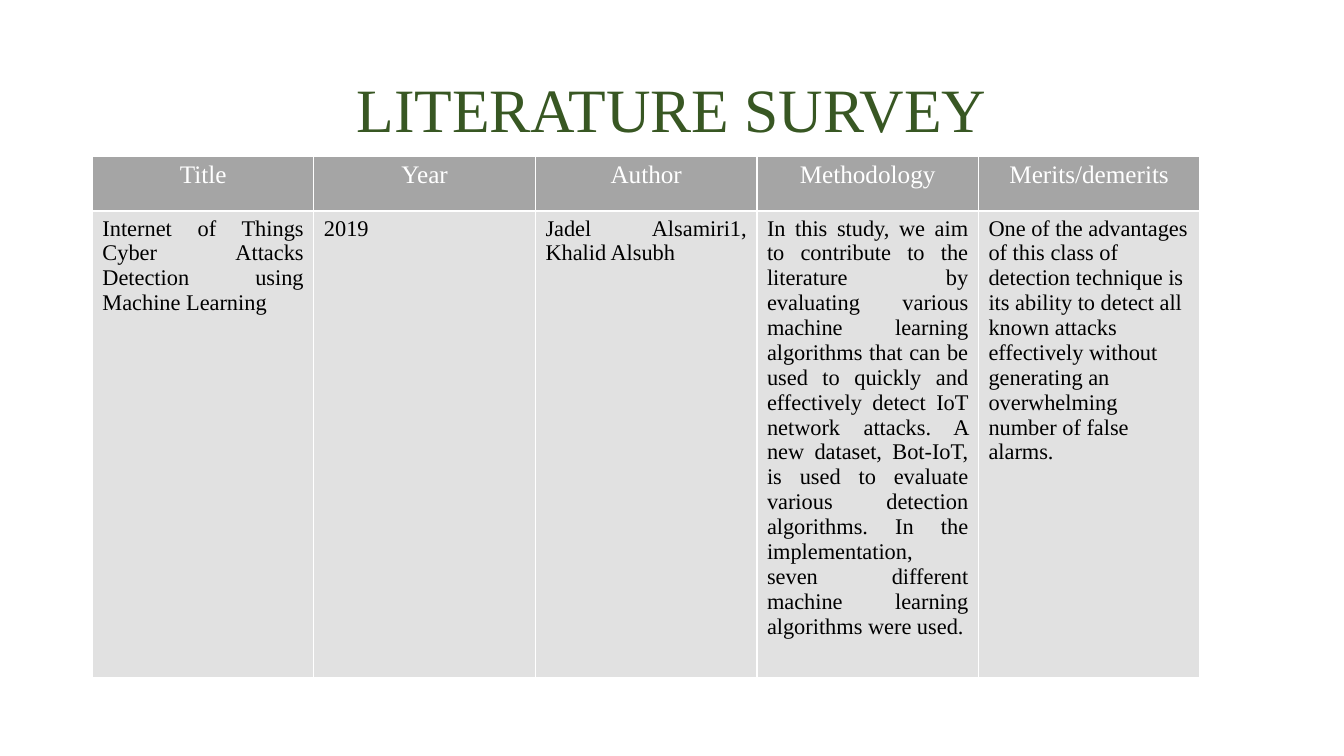
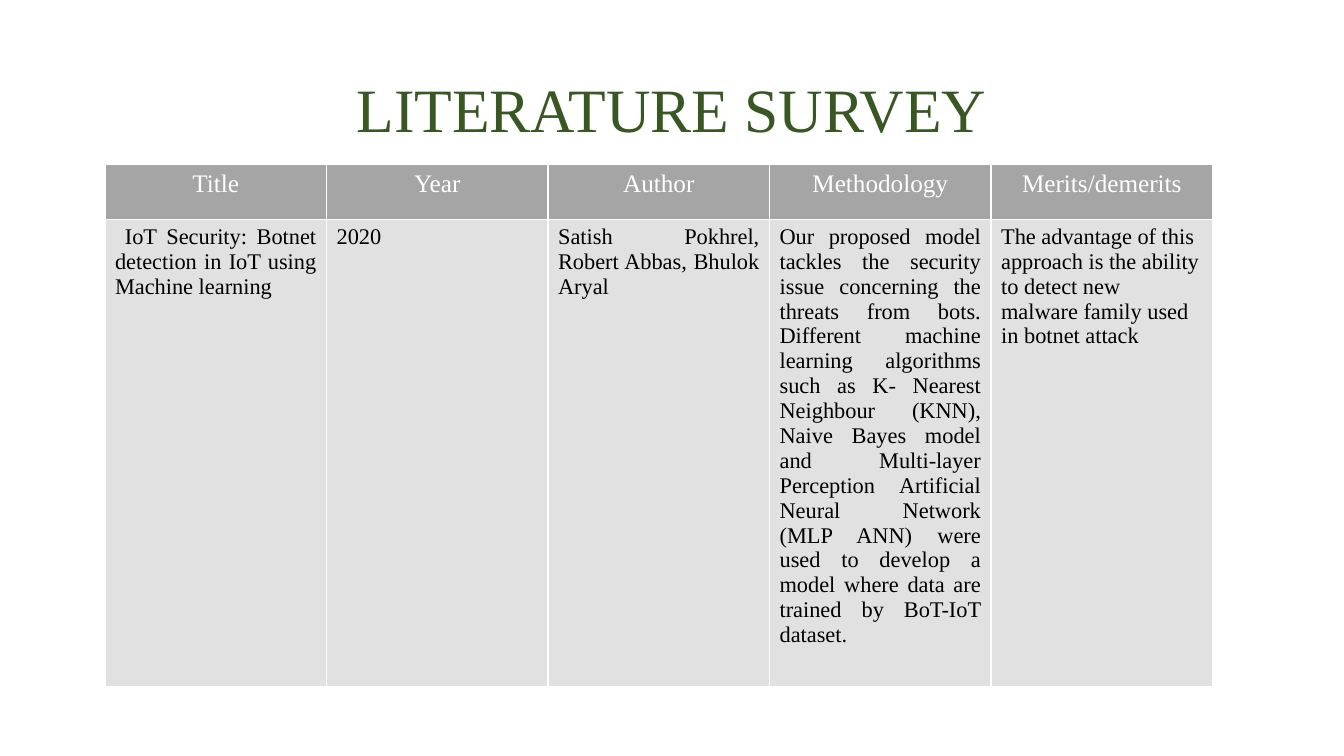
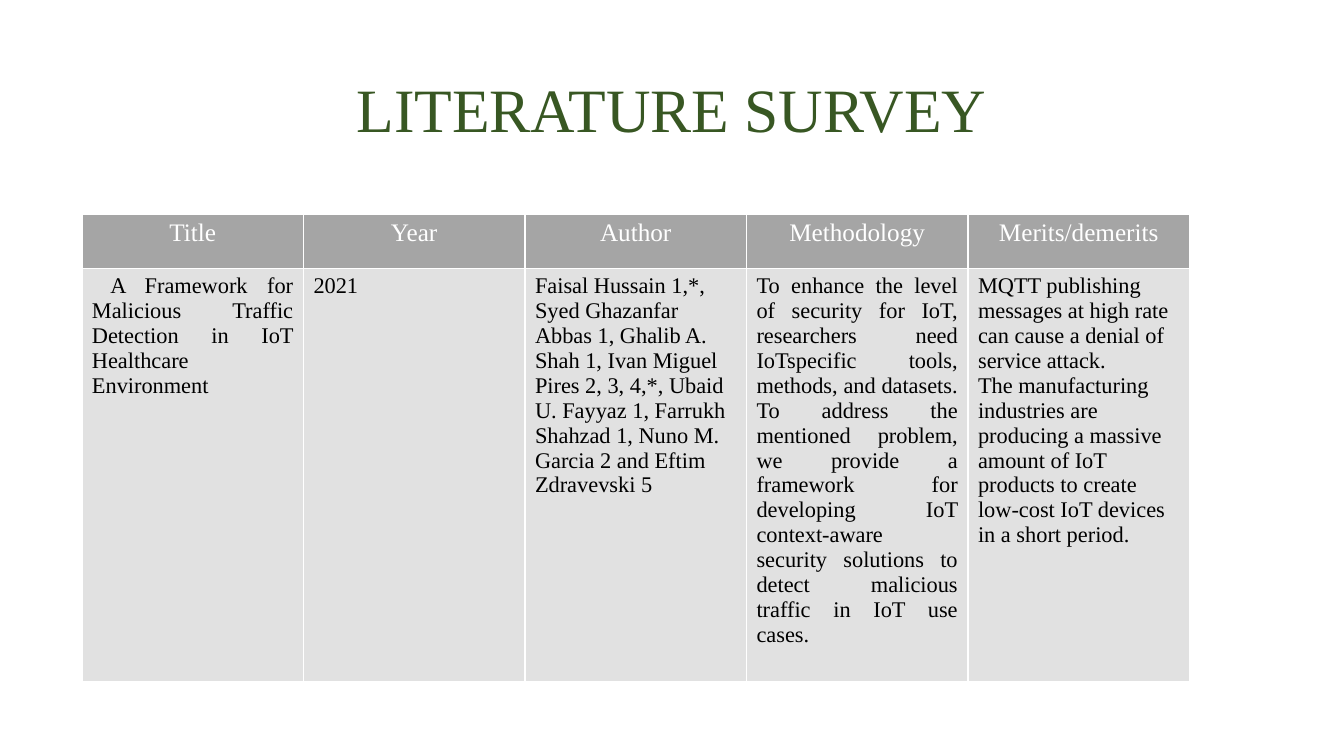
from dataclasses import dataclass

from lxml.etree import SubElement
from pptx import Presentation
from pptx.dml.color import RGBColor
from pptx.enum.text import MSO_ANCHOR, PP_ALIGN
from pptx.oxml.ns import qn
from pptx.util import Emu, Pt

EMU_PER_PX = 9525
LEFT, CENTER, JUSTIFY = PP_ALIGN.LEFT, PP_ALIGN.CENTER, PP_ALIGN.JUSTIFY


def px(n):
    return Emu(n * EMU_PER_PX)


@dataclass(frozen=True)
class Theme:
    font: str = "Times New Roman"
    title: str = "385723"
    header_text: str = "FFFFFF"
    header_fill: str = "A5A5A5"
    body_text: str = "000000"
    body_fill: str = "E1E1E1"
    border: str = "FFFFFF"
    title_size: int = 44
    header_size: int = 18
    body_size: int = 16
    border_width: int = 1


class Deck:
    """Holds the theme and the slide being built."""

    def __init__(self, theme, width, height):
        self.theme = theme
        self.prs = Presentation()
        self.prs.slide_width, self.prs.slide_height = px(width), px(height)
        self.slide = None

    def add_slide(self):
        self.slide = self.prs.slides.add_slide(self.prs.slide_layouts[6])

    def set_text(self, tf, text, size, color, align):
        """Fill a text frame, one paragraph per line of text."""
        tf.text = text
        for p in tf.paragraphs:
            p.alignment = align
            p.font.name = self.theme.font
            p.font.size = Pt(size)
            p.font.bold = False
            p.font.color.rgb = RGBColor.from_string(color)

    def title(self, text):
        box = self.slide.shapes.add_textbox(px(88), px(38), px(1104), px(139))
        tf = box.text_frame
        tf.word_wrap = True
        tf.vertical_anchor = MSO_ANCHOR.MIDDLE
        self.set_text(tf, text, self.theme.title_size, self.theme.title, CENTER)
        tf.paragraphs[0].line_spacing = 0.9

    def border(self, cell):
        tc_pr = cell._tc.get_or_add_tcPr()
        for side in ("a:lnL", "a:lnR", "a:lnT", "a:lnB"):
            ln = SubElement(tc_pr, qn(side), w=str(Pt(self.theme.border_width)))
            fill = SubElement(ln, qn("a:solidFill"))
            SubElement(fill, qn("a:srgbClr"), val=self.theme.border)

    def cell(self, cell, text, size, color, fill, align):
        self.set_text(cell.text_frame, text, size, color, align)
        self.border(cell)
        cell.fill.solid()
        cell.fill.fore_color.rgb = RGBColor.from_string(fill)

    def table(self, left, top, headers, entries, aligns):
        """Draw a header row above one row of entries."""
        t = self.theme
        col_width, row_heights = 211, (52, 346)
        frame = self.slide.shapes.add_table(
            2, len(headers), px(left), px(top),
            px(col_width * len(headers)), px(sum(row_heights)))
        table = frame.table
        table.horz_banding = False
        for row, height in zip(table.rows, row_heights):
            row.height = px(height)
        for i, (header, entry, align) in enumerate(zip(headers, entries, aligns)):
            table.columns[i].width = px(col_width)
            self.cell(table.cell(0, i), header, t.header_size,
                      t.header_text, t.header_fill, CENTER)
            self.cell(table.cell(1, i), entry, t.body_size,
                      t.body_text, t.body_fill, align)


HEADERS = ("Title", "Year", "Author", "Methodology", "Merits/demerits")

# Table left, table top, author alignment, entries
SURVEYS = (
    (88, 149, JUSTIFY, (
        "Internet of Things Cyber Attacks Detection using Machine Learning",
        "2019",
        "Jadel Alsamiri1, Khalid Alsubh",
        "In this study, we aim to contribute to the literature by evaluating "
        "various machine learning algorithms that can be used to quickly and "
        "effectively detect IoT network attacks. A new dataset, Bot-IoT, is "
        "used to evaluate various detection algorithms. In the "
        "implementation, seven different machine learning algorithms were "
        "used.",
        "One of the advantages of this class of detection technique is its "
        "ability to detect all known attacks effectively without generating "
        "an overwhelming number of false alarms.",
    )),
    (100, 157, JUSTIFY, (
        " IoT Security: Botnet detection in IoT using Machine learning",
        "2020",
        "Satish Pokhrel, Robert Abbas, Bhulok Aryal",
        "Our proposed model tackles the security issue concerning the threats "
        "from bots. Different machine learning algorithms such as K- Nearest "
        "Neighbour (KNN), Naive Bayes model and Multi-layer Perception "
        "Artificial Neural Network (MLP ANN) were used to develop a model "
        "where data are trained by BoT-IoT dataset.",
        "The advantage of this approach is the ability to detect new malware "
        "family used in botnet attack",
    )),
    (78, 204, LEFT, (
        " A Framework for Malicious Traffic Detection in IoT Healthcare "
        "Environment",
        "2021",
        "Faisal Hussain 1,*, Syed Ghazanfar Abbas 1, Ghalib A. Shah 1, Ivan "
        "Miguel Pires 2, 3, 4,*, Ubaid U. Fayyaz 1, Farrukh Shahzad 1, Nuno "
        "M. Garcia 2 and Eftim Zdravevski 5",
        "To enhance the level of security for IoT, researchers need "
        "IoTspecific tools, methods, and datasets. To address the mentioned "
        "problem, we provide a framework for developing IoT context-aware "
        "security solutions to detect malicious traffic in IoT use cases.",
        "MQTT publishing messages at high rate can cause a denial of service "
        "attack.\n"
        "The manufacturing industries are producing a massive amount of IoT "
        "products to create low-cost IoT devices in a short period.",
    )),
)


def main():
    deck = Deck(Theme(), 1280, 720)
    for left, top, author_align, entries in SURVEYS:
        deck.add_slide()
        deck.title("LITERATURE SURVEY")
        aligns = (JUSTIFY, JUSTIFY, author_align, JUSTIFY, LEFT)
        deck.table(left, top, HEADERS, entries, aligns)
    deck.prs.save("out.pptx")


if __name__ == "__main__":
    main()
